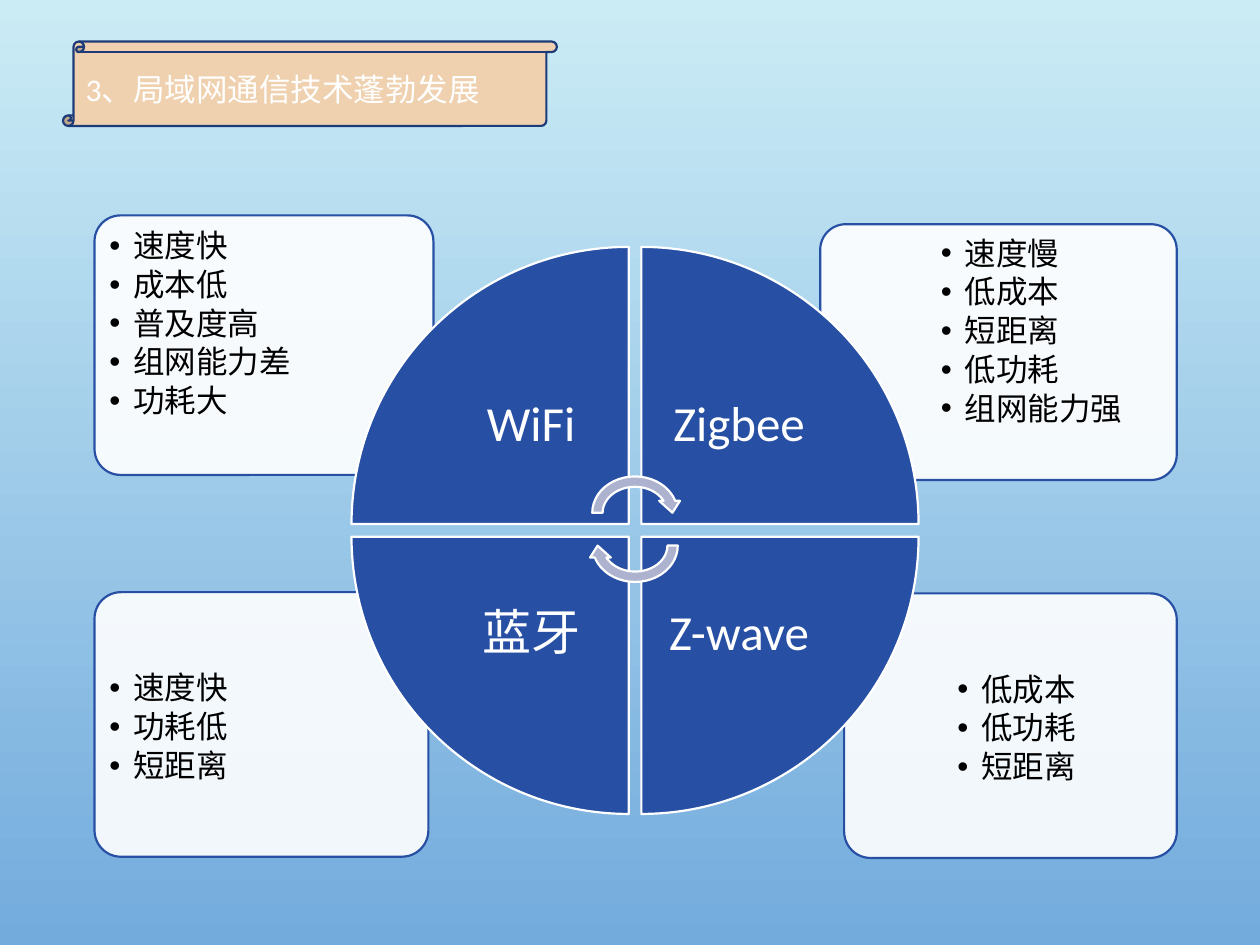
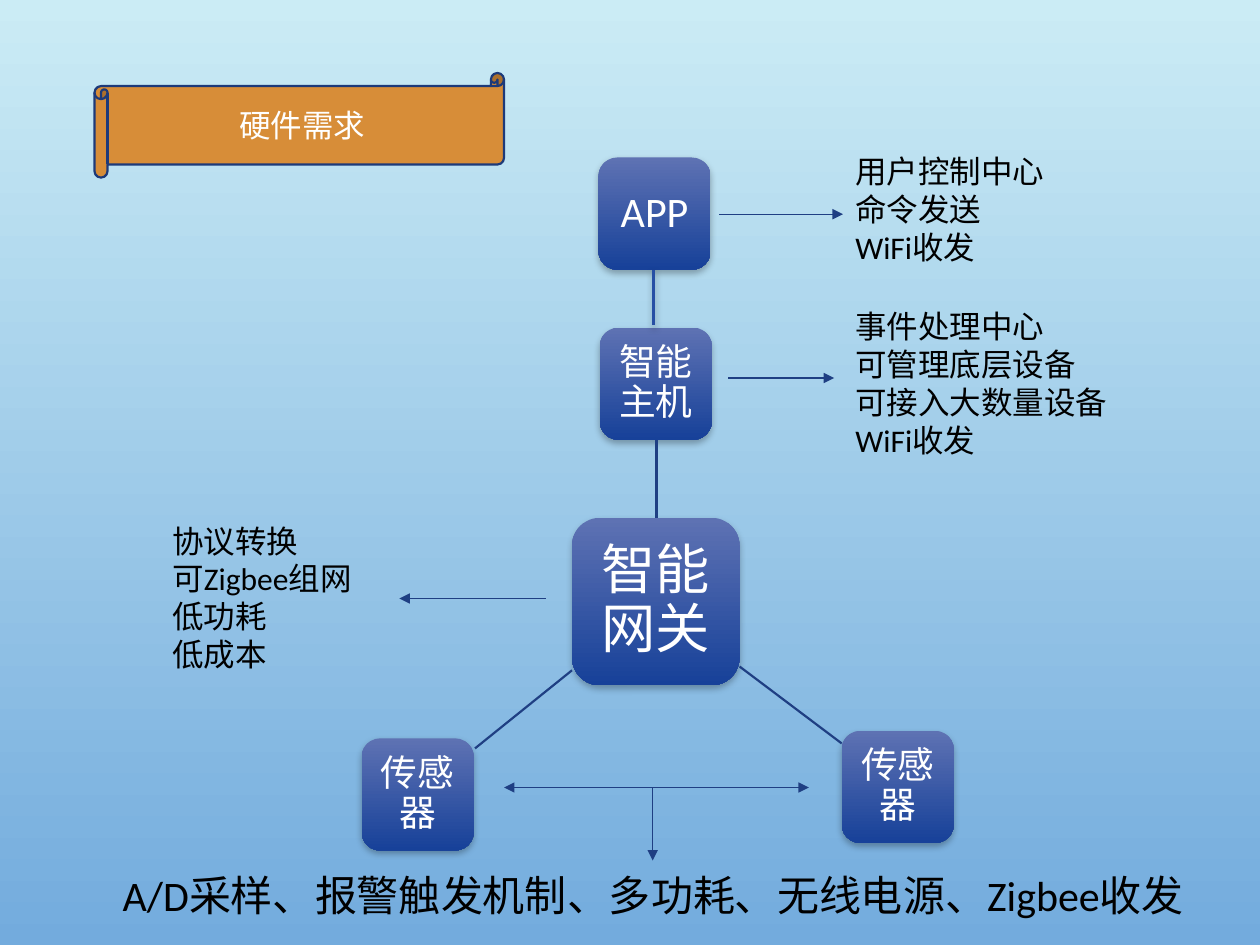
from lxml import etree
from pptx import Presentation
from pptx import util as u
from pptx.dml.color import RGBColor
from pptx.enum import shapes, text
from pptx.oxml import ns

FONT = "Calibri"
SKY = ("CBECF5", "73ABDD")
STEEL = ("5E72B3", "174199")
BLUE, NAVY, EDGE = "274FA4", "1F3F83", "1D3A79"
WHITE, BLACK = "FFFFFF", "000000"
KIND = shapes.MSO_SHAPE
MID, TOP = text.MSO_ANCHOR.MIDDLE, text.MSO_ANCHOR.TOP
LEFT, MIDST = text.PP_ALIGN.LEFT, text.PP_ALIGN.CENTER
SIDES = ("left", "top", "right", "bottom")
INSET = (0.1, 0.05, 0.1, 0.05)


def tint(code):
    return RGBColor.from_string(code)


def apply(item, form):
    for key, value in form.items():
        setattr(item, key, value)


def child(parent, tag, **marks):
    node = etree.SubElement(parent, ns.qn("a:" + tag))
    for key, value in marks.items():
        node.set(key, str(value))
    return node


def blend(fill, codes):
    fill.gradient()
    fill.gradient_angle = 270
    for stop, code in zip(fill.gradient_stops, codes):
        stop.color.rgb = tint(code)


def shade(effect):
    drop = child(effect, "outerShdw", blurRad=u.Pt(4), dist=u.Pt(2),
                 dir=5400000, rotWithShape=0)
    child(child(drop, "srgbClr", val=BLACK), "alpha", val=28000)


def write(shape, lines, size, color=BLACK, align=LEFT, anchor=TOP,
          inset=INSET, space=1.0, bullet=False):
    frame = shape.text_frame
    apply(frame, {"word_wrap": True, "auto_size": text.MSO_AUTO_SIZE.NONE,
                  "vertical_anchor": anchor})
    apply(frame, {"margin_" + side: u.Inches(gap)
                  for side, gap in zip(SIDES, inset)})
    for i, line in enumerate(lines):
        para = frame.add_paragraph() if i else frame.paragraphs[0]
        apply(para, {"alignment": align, "line_spacing": space})
        run = para.add_run()
        run.text = line
        apply(run.font, {"name": FONT, "size": u.Pt(size)})
        run.font.color.rgb = tint(color)
        if bullet:
            para.space_after = u.Pt(2.7)
            props = para._p.get_or_add_pPr()
            props.set("marL", str(u.Inches(0.19)))
            props.set("indent", str(-u.Inches(0.19)))
            child(props, "buFont", typeface="Arial")
            child(props, "buChar", char="•")


def draw(slide, kind, box, fill, line=None, turn=0):
    shape = slide.shapes.add_shape(kind, *map(u.Inches, box))
    shape.shadow.inherit = False
    shape.rotation = turn
    if isinstance(fill, tuple):
        blend(shape.fill, fill)
    else:
        shape.fill.solid()
        shape.fill.fore_color.rgb = tint(fill)
    if line:
        shape.line.color.rgb = tint(line)
        shape.line.width = u.Pt(1.25)
    else:
        shape.line.fill.background()
    return shape


def label(slide, box, lines, size, **form):
    write(slide.shapes.add_textbox(*map(u.Inches, box)), lines, size, **form)


def link(slide, start, end, width=0.75, color=NAVY, head=False, tail=False,
         shadow=False):
    line = slide.shapes.add_connector(shapes.MSO_CONNECTOR.STRAIGHT,
                                      *map(u.Inches, start + end))
    line.line.color.rgb = tint(color)
    line.line.width = u.Pt(width)
    for tag, shown in (("headEnd", head), ("tailEnd", tail)):
        if shown:
            child(line.line._ln, tag, type="triangle")
    effect = child(line.element.spPr, "effectLst")
    if shadow:
        shade(effect)


def banner(slide, kind, box, fill, area, words, align):
    scroll = draw(slide, kind, box, fill, EDGE)
    title = slide.shapes.title
    title.element.addprevious(scroll.element)
    apply(title, dict(zip(("left", "top", "width", "height"),
                          map(u.Inches, area))))
    write(title, [words], 18, color=WHITE, align=align, anchor=MID)


def card(slide, box, spot, lines):
    shape = draw(slide, KIND.ROUNDED_RECTANGLE, box, WHITE, BLUE)
    shape.adjustments[0] = 0.1
    solid = shape.element.spPr.find(ns.qn("a:solidFill"))
    child(solid[0], "alpha", val=90000)
    curve = 0.03 * min(box[2:])
    inset = [spot[i] + 0.07 - box[i] - curve for i in (0, 1)] + [0, 0]
    write(shape, lines, 18, inset=inset, space=0.9, bullet=True)


def wedge(slide, col, row, turn, word):
    draw(slide, KIND.PIE_WEDGE, (2.79 + 2.3 * col, 1.96 + 2.3 * row, 2.2, 2.2),
         BLUE, WHITE, turn)
    label(slide, (3.44 + 1.65 * col, 2.6 + 1.66 * row, 1.55, 1.55), [word], 28,
          color=WHITE, align=MIDST, anchor=MID, inset=(0.22,) * 4, space=0.9)


def node(slide, left, top, word, side=0.89, size=21):
    shape = draw(slide, KIND.ROUNDED_RECTANGLE, (left, top, side, side), STEEL)
    shade(shape.element.spPr.find(ns.qn("a:effectLst")))
    write(shape, [word], size, color=WHITE, align=MIDST, anchor=MID,
          inset=(0.003 * size,) * 4, space=0.9)


def radio(slide):
    banner(slide, KIND.VERTICAL_SCROLL, (0.5, 0.33, 3.92, 0.67), "EFD1AF",
           (0.58, 0.41, 3.76, 0.59), "3、局域网通信技术蓬勃发展", LEFT)
    cards = [
        ((6.7, 4.71, 2.64, 2.1), (7.53, 5.28), "低成本 低功耗 短距离"),
        ((0.75, 4.7, 2.65, 2.1), (0.8, 5.27), "速度快 功耗低 短距离"),
        ((6.51, 1.78, 2.83, 2.03), (7.4, 1.82),
         "速度慢 低成本 短距离 低功耗 组网能力强"),
        ((0.75, 1.71, 2.69, 2.06), (0.8, 1.76),
         "速度快 成本低 普及度高 组网能力差 功耗大"),
    ]
    for box, spot, words in cards:
        card(slide, box, spot, words.split())
    wheel = [(0, 0, "WiFi"), (1, 0, "Zigbee"), (1, 1, "Z-wave"), (0, 1, "蓝牙")]
    for i, (col, row, word) in enumerate(wheel):
        wedge(slide, col, row, 90 * i, word)
    for top, turn in ((3.74, 0), (4, 180)):
        draw(slide, KIND.CIRCULAR_ARROW, (4.66, top, 0.76, 0.66),
             "ADB3CF", WHITE, turn)


def gear(slide):
    banner(slide, KIND.HORIZONTAL_SCROLL, (0.75, 0.58, 3.25, 0.83), "D78D38",
           (0.85, 0.68, 3.1, 0.63), "硬件需求", MIDST)
    node(slide, 4.54, 4.11, "智能网关", 1.33, 31)
    node(slide, 4.76, 2.6, "智能主机")
    node(slide, 6.68, 5.8, "传感器")
    node(slide, 2.87, 5.86, "传感器")
    node(slide, 4.75, 1.25, "APP", size=24)
    for start, end in (((5.21, 4.11), (5.21, 3.49)),
                       ((5.87, 5.29), (6.68, 5.9)),
                       ((4.54, 5.32), (3.77, 5.94))):
        link(slide, start, end, 1.25)
    link(slide, (5.19, 2.58), (5.19, 2.14), 1.75, BLUE, shadow=True)
    for start, end in (((5.71, 1.7), (6.69, 1.7)), ((5.78, 3), (6.62, 3)),
                       ((4.33, 4.75), (3.17, 4.75)),
                       ((5.18, 6.25), (5.18, 6.83))):
        link(slide, start, end, tail=True)
    link(slide, (4, 6.25), (6.42, 6.25), head=True, tail=True)
    notes = [
        ((6.69, 1.16, 2.23, 1.01), "用户控制中心 命令发送 WiFi收发"),
        ((6.69, 2.39, 2.55, 1.31),
         "事件处理中心 可管理底层设备 可接入大数量设备 WiFi收发"),
        ((1.27, 4.09, 2.21, 1.31), "协议转换 可Zigbee组网 低功耗 低成本"),
    ]
    for box, words in notes:
        label(slide, box, words.split(), 18)
    label(slide, (0.6, 6.85, 9.17, 0.5),
          ["A/D采样、报警触发机制、多功耗、无线电源、Zigbee收发"], 24,
          align=MIDST)


def main():
    deck = Presentation()
    apply(deck, {"slide_width": u.Inches(10), "slide_height": u.Inches(7.5)})
    blend(deck.slide_master.background.fill, SKY)
    for build in (radio, gear):
        build(deck.slides.add_slide(deck.slide_layouts[5]))
    deck.save("out.pptx")


if __name__ == "__main__":
    main()
